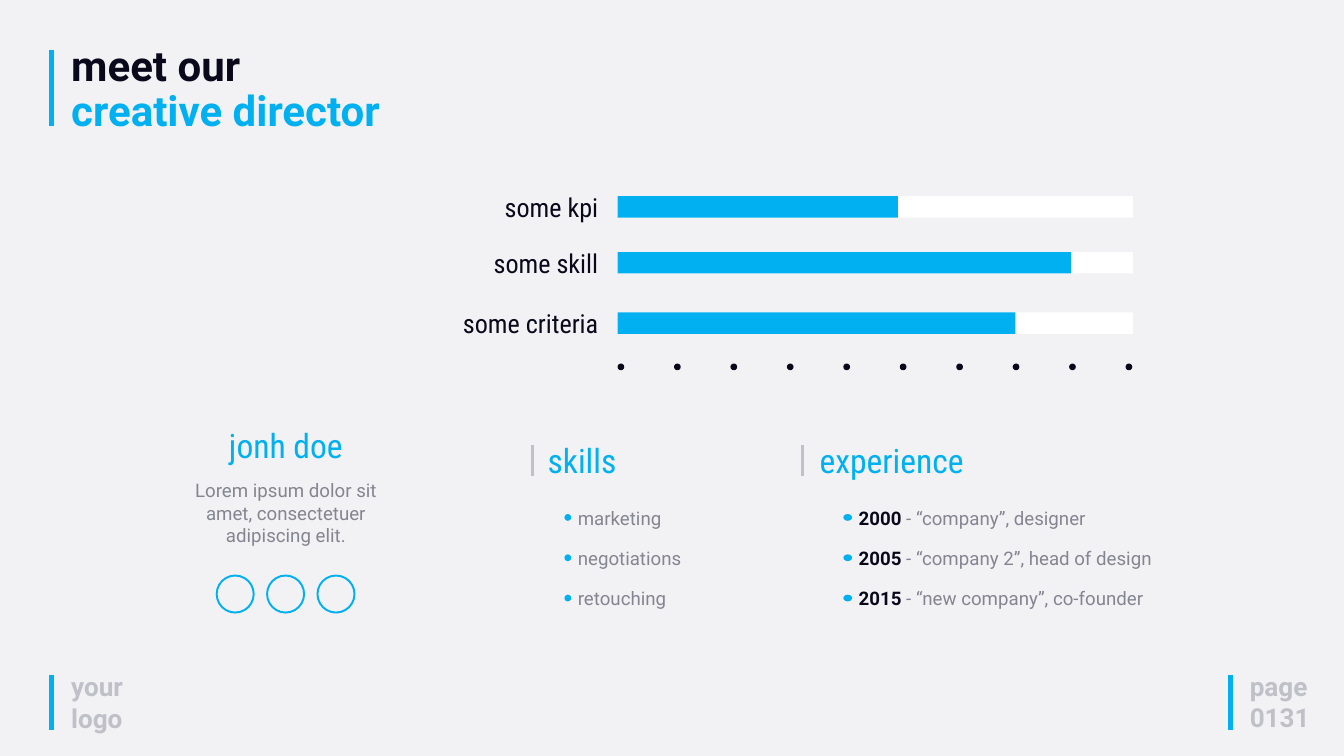
"""Build the creative director profile slide."""
from lxml import etree
from pptx import Presentation
from pptx.dml.color import RGBColor as RGB
from pptx.enum.shapes import MSO_CONNECTOR as CONN, MSO_SHAPE as SHAPE
from pptx.enum.text import MSO_ANCHOR as ANCHOR, MSO_AUTO_SIZE as AUTO, PP_ALIGN as ALIGN
from pptx.oxml.ns import qn
from pptx.util import Pt

PX = 9144
COLORS = {
    "back": "F2F2F5",
    "blue": "00B0F0",
    "ink": "0A091B",
    "grey": "858591",
    "pale": "C0C0C8",
    "white": "FFFFFF",
}
CONDENSED = "Roboto Condensed"

prs = Presentation()
prs.slide_width = 2000 * PX
prs.slide_height = 1125 * PX
s = prs.slides.add_slide(prs.slide_layouts[5])
s.background.fill.solid()
s.background.fill.fore_color.rgb = RGB.from_string(COLORS["back"])


def write(text, box=None, p=None, size=20, color="grey", font="Roboto", bold=False, align=ALIGN.LEFT):
    if p is None:
        tf = s.shapes.add_textbox(*[v * PX for v in box]).text_frame
        tf.word_wrap = True
        p = tf.paragraphs[0]
    p.alignment = align
    r = p.add_run()
    r.text = text
    r.font.size = Pt(size)
    r.font.name = font
    r.font.bold = bold
    r.font.color.rgb = RGB.from_string(COLORS[color])
    return p


def draw(kind, x, y, w, h, color):
    sp = s.shapes.add_shape(kind, x * PX, y * PX, w * PX, h * PX)
    sp.shadow.inherit = False
    sp.fill.solid()
    sp.fill.fore_color.rgb = RGB.from_string(COLORS[color])
    sp.line.fill.background()
    return sp


for x, top, bottom, color, width in [
    (77, 75, 188, "blue", 5),
    (77, 1005, 1086, "blue", 5),
    (1831, 1005, 1086, "blue", 5),
    (792, 662, 708, "pale", 3),
    (1194, 662, 708, "pale", 3),
]:
    line = s.shapes.add_connector(CONN.STRAIGHT, x * PX, top * PX, x * PX, bottom * PX)
    line.line.color.rgb = RGB.from_string(COLORS[color])
    line.line.width = Pt(width)
    etree.SubElement(line._element.spPr, qn("a:effectLst"))

title = s.shapes.title
title.left, title.top, title.width, title.height = [v * PX for v in (96, 62, 596, 146)]
tf = title.text_frame
tf.word_wrap = True
tf.auto_size = AUTO.NONE
tf.vertical_anchor = ANCHOR.TOP
p = tf.paragraphs[0]
p.line_spacing = 0.9
write("meet our", p=p, size=45, color="ink", bold=True)
p.add_line_break()
write("creative director", p=p, size=45, color="blue", bold=True)

write("your logo", (96, 993, 119, 104), size=28, color="pale", bold=True)
tf = s.shapes.add_textbox(1850 * PX, 992 * PX, 190 * PX, 104 * PX).text_frame
tf.word_wrap = True
write("page", p=tf.paragraphs[0], size=28, color="pale", bold=True)
write("0131", p=tf.add_paragraph(), size=28, color="pale", bold=True)

for label, y, value in [("some kpi", 292, 417), ("some skill", 375, 675), ("some criteria", 465, 592)]:
    write(label, (628, y - 12, 272, 57), size=28, color="ink", font=CONDENSED, align=ALIGN.RIGHT)
    draw(SHAPE.RECTANGLE, 919, y, 767, 32, "white")
    draw(SHAPE.RECTANGLE, 919, y, value, 32, "blue")
for i in range(10):
    draw(SHAPE.OVAL, 919 + 84 * i, 541, 10, 10, "ink")

write("jonh doe", (267, 627, 317, 71), size=36, color="blue", font=CONDENSED, align=ALIGN.CENTER)
write("Lorem ipsum dolor sit amet, consectetuer adipiscing elit.", (267, 708, 317, 111), align=ALIGN.CENTER)
for i in range(3):
    ring = draw(SHAPE.DONUT, 321 + 75 * i, 855, 58, 58, "blue")
    ring.adjustments[0] = 0.05

skills = [("", "marketing"), ("", "negotiations"), ("", "retouching")]
jobs = [
    ("2000", " - “company”, designer"),
    ("2005", " - “company 2”, head of design"),
    ("2015", " - “new company”, co-founder"),
]
for heading, x, item_x, item_w, dot_x, dot_w, items in [
    ("skills", 805, 850, 331, 840, 10, skills),
    ("experience", 1210, 1268, 534, 1255, 13, jobs),
]:
    write(heading, (x, 649, 489, 71), size=36, color="blue", font=CONDENSED)
    for i, (year, item) in enumerate(items):
        box = (item_x, 749 + 60 * i, item_w, 44)
        if year:
            write(item, p=write(year, box, color="ink", bold=True))
        else:
            write(item, box)
        draw(SHAPE.OVAL, dot_x, 765 + 60 * i, dot_w, 10, "blue")

prs.save("out.pptx")
